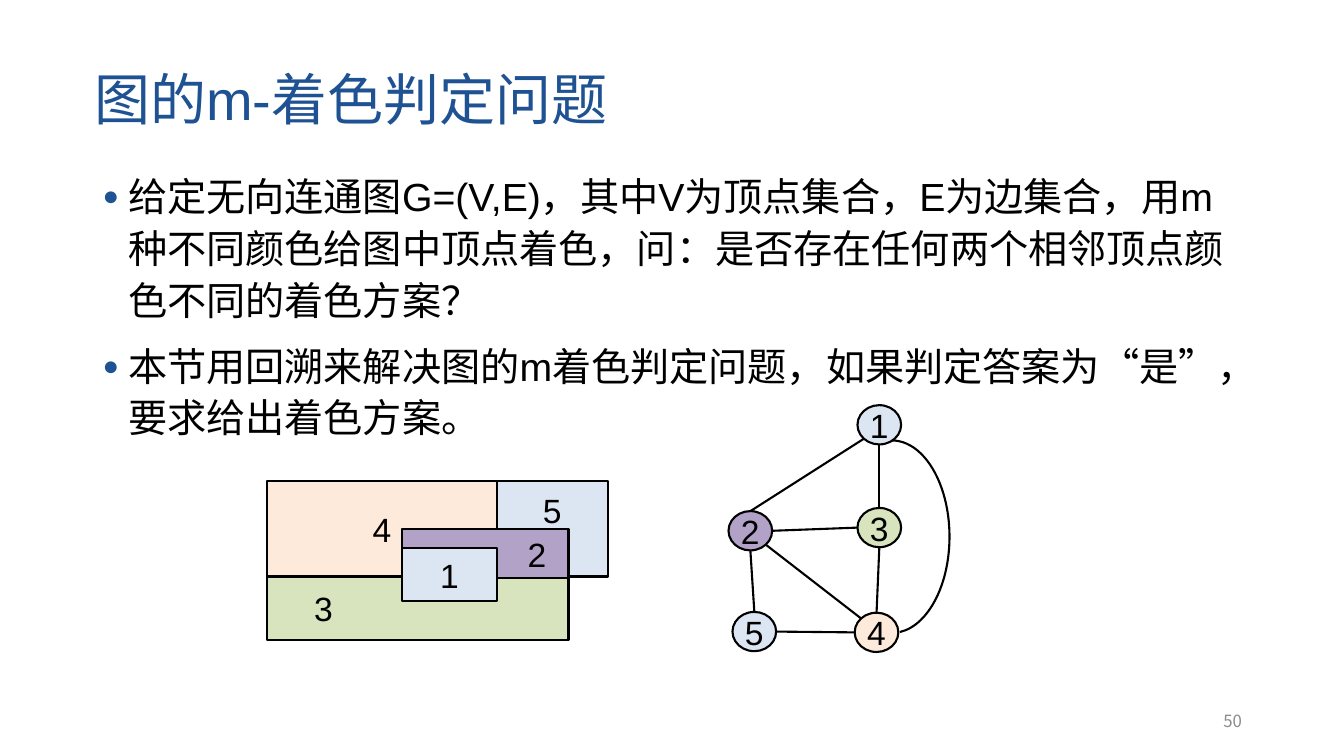
from dataclasses import dataclass

from lxml.etree import SubElement
from pptx import Presentation
from pptx.dml.color import RGBColor
from pptx.enum.shapes import MSO_CONNECTOR, MSO_SHAPE
from pptx.enum.text import MSO_ANCHOR, PP_ALIGN
from pptx.oxml.ns import qn
from pptx.util import Cm, Pt


@dataclass(frozen=True)
class Theme:
    latin: str = "Arial"
    chinese: str = "Noto Sans CJK SC"
    accent: str = "1E5293"
    ink: str = "000000"
    muted: str = "8C8C8C"
    blue: str = "DCE6F2"
    purple: str = "B3A2C7"
    green: str = "D7E4BD"
    peach: str = "FDEADA"
    title_size: int = 40
    body_size: int = 28
    label_size: int = 24
    number_size: int = 12
    outline: float = 1.5


THEME = Theme()
LABEL_COLORS = {"1": THEME.blue, "2": THEME.purple, "3": THEME.green,
                "4": THEME.peach, "5": THEME.blue}

TITLE = "图的m-着色判定问题"
STATEMENTS = [
    "给定无向连通图G=(V,E)，其中V为顶点集合，E为边集合，用m种不同颜色给图中顶点着色，"
    "问：是否存在任何两个相邻顶点颜色不同的着色方案？",
    "本节用回溯来解决图的m着色判定问题，如果判定答案为“是”，要求给出着色方案。",
]


def apply(target, values):
    for attribute, value in values.items():
        setattr(target, attribute, value)


def place(box, left, top, width, height):
    """Turn a rectangle in cm, relative to box, into slide lengths."""
    return [Cm(v) for v in (box[0] + left, box[1] + top, width, height)]


def write(paragraph, text, size, color, font=THEME.latin, **layout):
    apply(paragraph, layout)
    run = paragraph.add_run()
    run.text = text
    apply(run.font, {"size": Pt(size), "name": font})
    run.font.color.rgb = RGBColor.from_string(color)
    SubElement(run.font._element, qn("a:ea"), typeface=THEME.chinese)


def add_text_frame(slide, box, anchor):
    frame = slide.shapes.add_textbox(*[Cm(v) for v in box]).text_frame
    apply(frame, {"word_wrap": True, "vertical_anchor": anchor})
    return frame


def add_bullet(paragraph):
    properties = paragraph._p.get_or_add_pPr()
    properties.set("marL", str(Cm(0.64)))
    properties.set("indent", str(-Cm(0.64)))
    SubElement(SubElement(properties, qn("a:buClr")), qn("a:srgbClr"), val=THEME.accent)
    SubElement(properties, qn("a:buSzPct"), val="70000")
    SubElement(properties, qn("a:buFont"), typeface=THEME.latin)
    SubElement(properties, qn("a:buChar"), char="●")


def outline(line):
    line.color.rgb = RGBColor.from_string(THEME.ink)
    line.width = Pt(THEME.outline)


def add_labelled(slide, preset, bounds, label, **frame_format):
    shape = slide.shapes.add_shape(preset, *bounds)
    shape.shadow.inherit = False
    shape.fill.solid()
    shape.fill.fore_color.rgb = RGBColor.from_string(LABEL_COLORS[label])
    outline(shape.line)
    frame = shape.text_frame
    apply(frame, {"vertical_anchor": MSO_ANCHOR.MIDDLE, "margin_left": 0, "margin_right": 0,
                  "margin_top": 0, "margin_bottom": 0, **frame_format})
    write(frame.paragraphs[0], label, THEME.label_size, THEME.ink, alignment=PP_ALIGN.CENTER)


def add_title(slide, box):
    frame = add_text_frame(slide, box, MSO_ANCHOR.MIDDLE)
    write(frame.paragraphs[0], TITLE, THEME.title_size, THEME.accent, line_spacing=0.9)


def add_statements(slide, box):
    frame = add_text_frame(slide, box, MSO_ANCHOR.TOP)
    for index, statement in enumerate(STATEMENTS):
        paragraph = frame.add_paragraph() if index else frame.paragraphs[0]
        add_bullet(paragraph)
        write(paragraph, statement, THEME.body_size, THEME.ink,
              line_spacing=1.1, space_before=Pt(10 if index else 0))


def add_map(slide, box):
    """Draw the five map regions, the later ones covering the earlier."""
    west, split, inner, east = 5.79, 2.41, 3.4, 7.6
    regions = [
        ("4", (0, 0, west, split), {}),
        ("3", (0, split, east, 1.6), {"margin_right": Cm(4.75)}),
        ("5", (west, 0, box[2] - west, split), {"margin_bottom": Cm(0.95)}),
        ("2", (inner, 1.22, east - inner, 1.22), {"margin_left": Cm(2.6)}),
        ("1", (inner, 1.7, west - inner, 1.32), {}),
    ]
    for label, bounds, insets in regions:
        add_labelled(slide, MSO_SHAPE.RECTANGLE, place(box, *bounds), label,
                     word_wrap=True, **insets)


def add_graph(slide, box):
    """Draw the vertices, straight edges and the curved edge from 1 to 4."""
    width, height, diagonal = 1.1, 0.99, 0.71
    vertices = {"1": (3.25, 0), "2": (0, 2.67), "3": (3.25, 2.59),
                "4": (3.18, 5.23), "5": (0.1, 5.21)}
    top, bottom, left, right = (0, -1), (0, 1), (-1, 0), (1, 0)
    edges = [
        ("2", top, "1", (-diagonal, diagonal)),
        ("1", bottom, "3", top),
        ("2", right, "3", left),
        ("2", bottom, "5", top),
        ("2", (diagonal, diagonal), "4", (-diagonal, -diagonal)),
        ("3", bottom, "4", top),
        ("5", right, "4", left),
    ]

    def rim(label, direction):
        x, y = vertices[label]
        return (Cm(box[0] + x + width / 2 * (1 + direction[0])),
                Cm(box[1] + y + height / 2 * (1 + direction[1])))

    for start, leaving, end, entering in edges:
        edge = slide.shapes.add_connector(
            MSO_CONNECTOR.STRAIGHT, *rim(start, leaving), *rim(end, entering))
        outline(edge.line)
        SubElement(edge._element.spPr, qn("a:effectLst"))

    curve = slide.shapes.add_shape(MSO_SHAPE.ARC, *place(box, 2.67, 0.89, 2.9, 4.85))
    curve.shadow.inherit = False
    curve.fill.background()
    outline(curve.line)
    curve.adjustments[0] = 162
    curve.adjustments[1] = 51.11

    for label, (x, y) in vertices.items():
        add_labelled(slide, MSO_SHAPE.OVAL, place(box, x, y, width, height), label,
                     word_wrap=False)


def add_slide_number(slide, box):
    frame = add_text_frame(slide, box, MSO_ANCHOR.MIDDLE)
    write(frame.paragraphs[0], "50", THEME.number_size, THEME.muted,
          font=THEME.chinese, alignment=PP_ALIGN.RIGHT)


def main():
    presentation = Presentation()
    apply(presentation, {"slide_width": Cm(33.87), "slide_height": Cm(19.05)})
    slide = presentation.slides.add_slide(presentation.slide_layouts[6])
    add_title(slide, (2.13, 0.74, 29.21, 3.68))
    add_statements(slide, (2.34, 4.11, 29.01, 10.8))
    add_map(slide, (6.73, 12.12, 8.59, 4.01))
    add_graph(slide, (18.36, 10.21, 5.57, 6.22))
    add_slide_number(slide, (23.93, 17.65, 7.62, 1.02))
    presentation.save("out.pptx")


if __name__ == "__main__":
    main()
